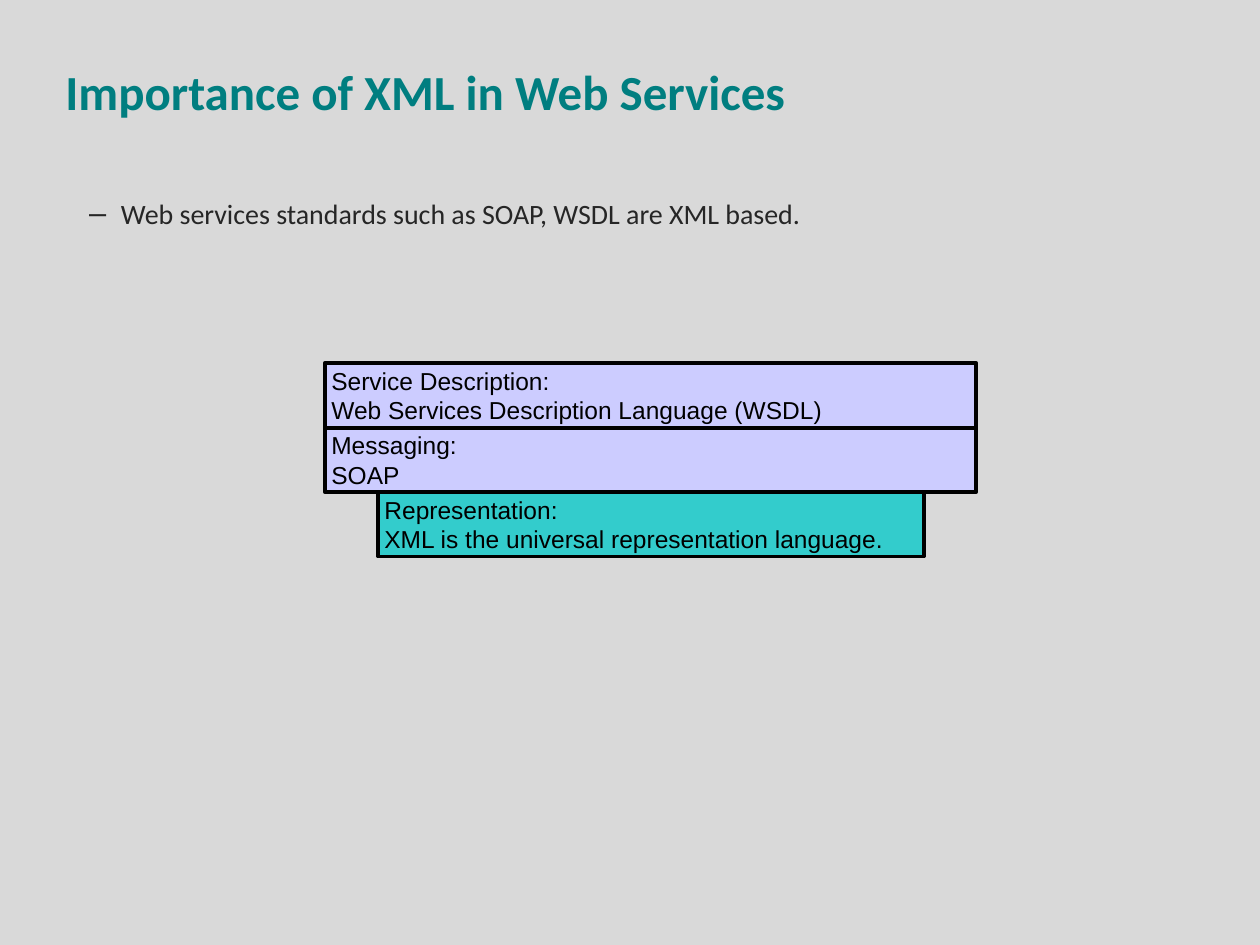
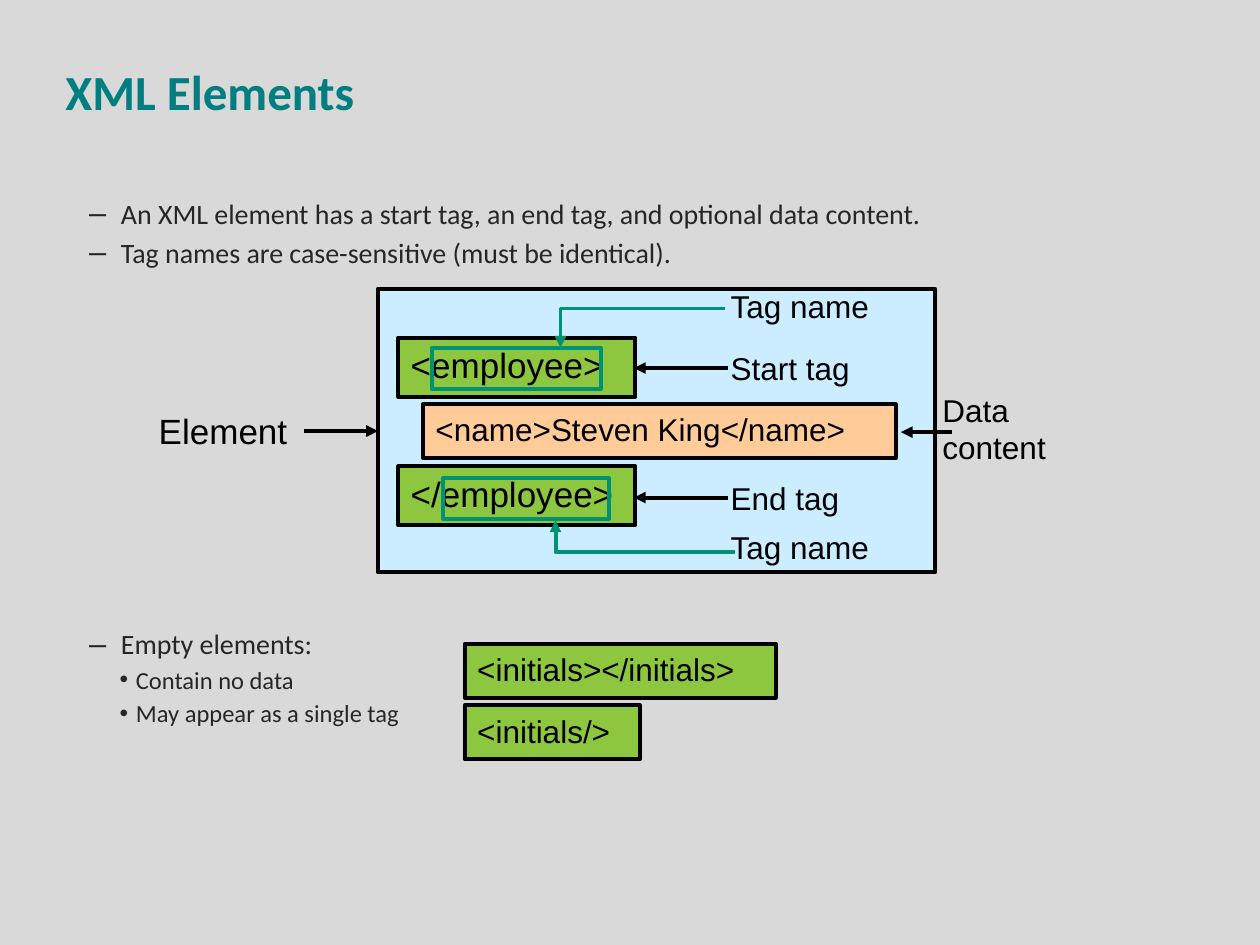
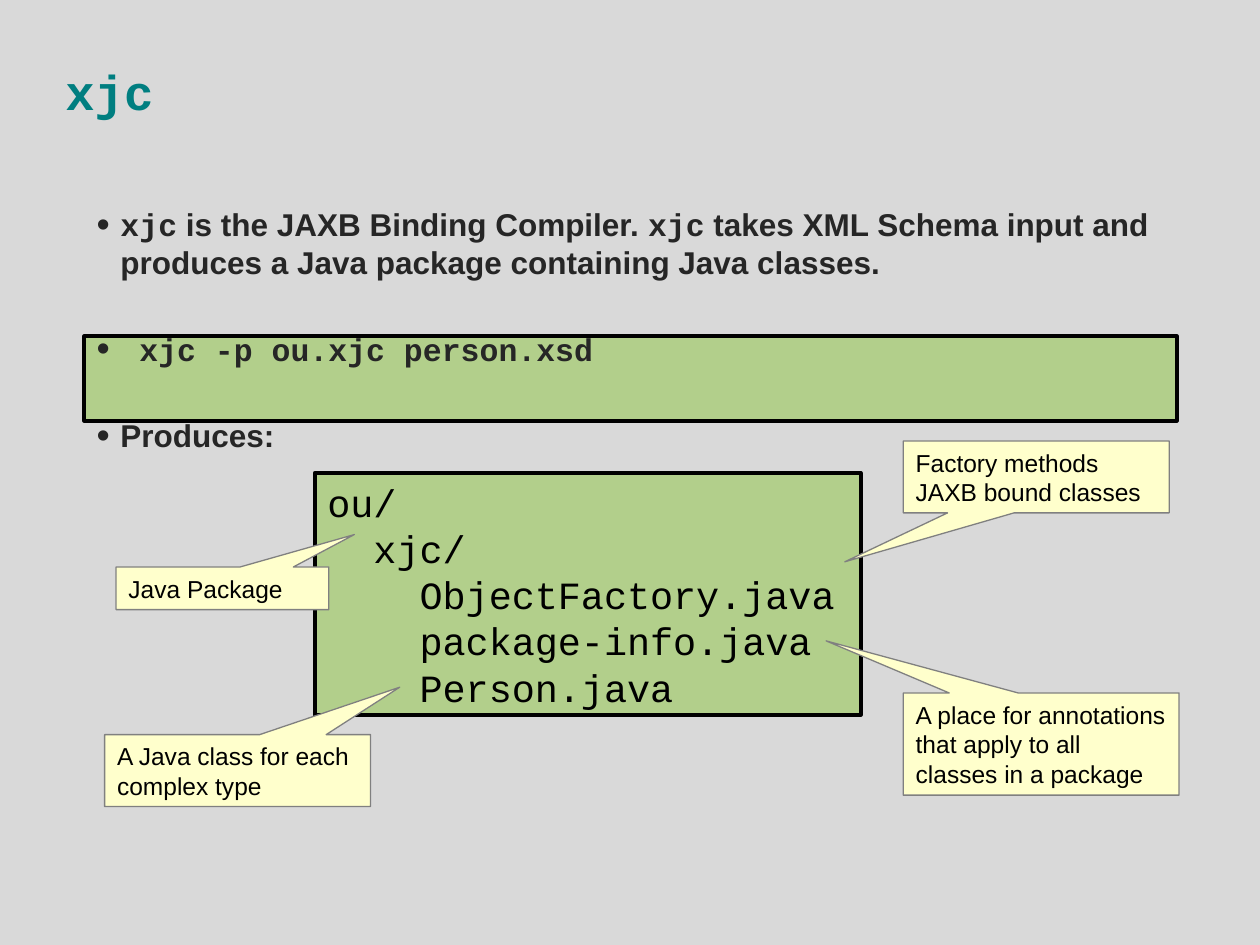
"""Builds three slides on XML elements, web services and xjc."""
from typing import NamedTuple

from lxml.etree import SubElement
from pptx import Presentation
from pptx.dml.color import RGBColor
from pptx.enum.shapes import MSO_CONNECTOR, MSO_SHAPE
from pptx.enum.text import MSO_ANCHOR, PP_ALIGN
from pptx.oxml.ns import qn
from pptx.util import Cm, Pt

GREY = RGBColor(0xD9, 0xD9, 0xD9)
TEAL = RGBColor(0x00, 0x7E, 0x80)
DARK = RGBColor(0x26, 0x26, 0x26)
BLACK = RGBColor(0x00, 0x00, 0x00)
LILAC = RGBColor(0xCC, 0xCC, 0xFF)
AQUA = RGBColor(0x33, 0xCC, 0xCC)
LIME = RGBColor(0x8D, 0xC6, 0x3F)
SKY = RGBColor(0xCC, 0xEC, 0xFF)
PEACH = RGBColor(0xFF, 0xCC, 0x99)
JADE = RGBColor(0x00, 0x92, 0x73)
CREAM = RGBColor(0xFF, 0xFF, 0xCC)
EDGE = RGBColor(0x80, 0x80, 0x80)

SANS, HEAD, MONO = "Arial", "Calibri", "Courier New"


class Area(NamedTuple):
    """A place on the slide, in centimetres."""
    left: float
    top: float
    width: float
    height: float

    def cm(self):
        """Gives the four lengths for python-pptx."""
        return tuple(Cm(n) for n in self)


class Style(NamedTuple):
    """The look of a run of text."""
    size: float
    font: str = SANS
    color: RGBColor = BLACK
    bold: bool = False


class Mark(NamedTuple):
    """A bullet with its indents in centimetres and its size in percent."""
    char: str
    left: float
    hang: float
    size: int


class Item(NamedTuple):
    """A bulleted paragraph made of styled bits."""
    mark: Mark
    bits: list
    space: float = 0


class Box(NamedTuple):
    """A filled, outlined rectangle with text."""
    area: Area
    fill: RGBColor
    text: str = ""
    size: float = 18


class Label(NamedTuple):
    """A plain piece of text."""
    area: Area
    text: str
    size: float = 18


class Arrow(NamedTuple):
    """A level arrow at a given height."""
    start: float
    end: float
    y: float


class Note(NamedTuple):
    """A callout whose tip is given relative to its size."""
    area: Area
    tip: tuple
    text: str


TITLE = Area(1.07, 0.66, 23.06, 2.34)
BODY = Area(1.07, 3.84, 23.06, 12.34)
DASH = Mark("–", 1.12, 0.64, 110)
DOT = Mark("•", 1.42, 0.33, 100)
DISC = Mark("•", 0.48, 0.48, 120)
MAIN = Style(16, HEAD, DARK)
MINOR = Style(14, HEAD, DARK)
BOLD = Style(18, SANS, DARK, True)
CODE = Style(18, MONO, DARK, True)


def paint(run, style: Style) -> None:
    """Formats one run."""
    font = run.font
    font.name, font.size, font.bold = style.font, Pt(style.size), style.bold
    font.color.rgb = style.color


def write(frame, text: str, style: Style, anchor=MSO_ANCHOR.TOP) -> None:
    """Fills a frame with left-aligned text in one style."""
    frame.word_wrap = True
    frame.vertical_anchor = anchor
    frame.text = text
    for para in frame.paragraphs:
        para.alignment = PP_ALIGN.LEFT
        for run in para.runs:
            paint(run, style)


def add_text(slide, area: Area, text: str, style: Style, anchor=MSO_ANCHOR.TOP):
    """Adds a text box and returns its frame."""
    frame = slide.shapes.add_textbox(*area.cm()).text_frame
    write(frame, text, style, anchor)
    return frame


def add_list(slide, area: Area, items: list) -> None:
    """Adds a bulleted list."""
    frame = slide.shapes.add_textbox(*area.cm()).text_frame
    frame.word_wrap = True
    for n, item in enumerate(items):
        para = frame.add_paragraph() if n else frame.paragraphs[0]
        para.space_before = Pt(item.space)
        for text, style in item.bits:
            run = para.add_run()
            run.text = text
            paint(run, style)
        mark = item.mark
        props = para._p.get_or_add_pPr()
        props.set("marL", str(Cm(mark.left)))
        props.set("indent", str(-Cm(mark.hang)))
        SubElement(props, qn("a:buSzPct")).set("val", str(mark.size * 1000))
        SubElement(props, qn("a:buFont")).set("typeface", SANS)
        SubElement(props, qn("a:buChar")).set("char", mark.char)


def add_form(slide, kind, area: Area, fill=None, color=BLACK, width=2.25):
    """Adds a flat preset shape."""
    form = slide.shapes.add_shape(kind, *area.cm())
    form.shadow.inherit = False
    if fill is None:
        form.fill.background()
    else:
        form.fill.solid()
        form.fill.fore_color.rgb = fill
    form.line.color.rgb = color
    form.line.width = Pt(width)
    return form


def add_box(slide, box: Box):
    """Adds a rectangle with its text."""
    form = add_form(slide, MSO_SHAPE.RECTANGLE, box.area, box.fill)
    if box.text:
        write(form.text_frame, box.text, Style(box.size))
    return form


def add_pane(slide, area: Area) -> None:
    """Adds a half clear lime rectangle."""
    form = add_box(slide, Box(area, LIME))
    color = form.element.spPr.find(qn("a:solidFill")).find(qn("a:srgbClr"))
    SubElement(color, qn("a:alpha")).set("val", "50000")


def add_tip(form, color: RGBColor) -> None:
    """Styles a line and puts an arrowhead at its end."""
    form.line.color.rgb = color
    form.line.width = Pt(2.25)
    line = form.element.spPr.find(qn("a:ln"))
    SubElement(line, qn("a:tailEnd")).set("type", "triangle")


def add_arrow(slide, arrow: Arrow) -> None:
    """Adds a level black arrow."""
    y = Cm(arrow.y)
    line = slide.shapes.add_connector(
        MSO_CONNECTOR.STRAIGHT, Cm(arrow.start), y, Cm(arrow.end), y)
    add_tip(line, BLACK)
    SubElement(line.element.spPr, qn("a:effectLst"))


def add_bend(slide, points: list) -> None:
    """Adds a bent jade arrow through the points."""
    first, *rest = [(Cm(x), Cm(y)) for x, y in points]
    pen = slide.shapes.build_freeform(*first)
    pen.add_line_segments(rest, close=False)
    form = pen.convert_to_shape()
    form.shadow.inherit = False
    form.fill.background()
    add_tip(form, JADE)


def add_note(slide, note: Note) -> None:
    """Adds a callout."""
    form = add_form(slide, MSO_SHAPE.RECTANGULAR_CALLOUT, note.area, CREAM, EDGE, 0.75)
    form.adjustments[0], form.adjustments[1] = note.tip
    write(form.text_frame, note.text, Style(14), MSO_ANCHOR.MIDDLE)


def add_slide(deck, title: str, font: str = HEAD):
    """Adds a grey slide with its title."""
    slide = deck.slides.add_slide(deck.slide_layouts[6])
    slide.background.fill.solid()
    slide.background.fill.fore_color.rgb = GREY
    add_text(slide, TITLE, title, Style(28, font, TEAL, True), MSO_ANCHOR.MIDDLE)
    return slide


def stack_slide(deck) -> None:
    """Draws the stack of web service layers."""
    slide = add_slide(deck, "Importance of XML in Web Services")
    add_list(slide, BODY, [
        Item(DASH, [("Web services standards such as SOAP, WSDL are XML based.", MAIN)])])
    layers = [
        (6.55, 13.13, LILAC, "Service Description:\nWeb Services Description Language (WSDL)"),
        (6.55, 13.13, LILAC, "Messaging:\nSOAP"),
        (7.62, 11, AQUA, "Representation:\nXML is the universal representation language."),
    ]
    for n, (left, width, fill, text) in enumerate(layers):
        form = add_box(slide, Box(Area(left, 7.32 + 1.3 * n, width, 1.3), fill, text, 14))
        frame = form.text_frame
        frame.vertical_anchor = MSO_ANCHOR.MIDDLE
        frame.margin_left = frame.margin_right = Cm(0.13)


def tag_slide(deck) -> None:
    """Draws the pieces of an XML element."""
    slide = add_slide(deck, "XML Elements")
    add_list(slide, BODY, [
        Item(DASH, [("An XML element has a start tag, an end tag, "
                     "and optional data content.", MAIN)]),
        Item(DASH, [("Tag names are case-sensitive (must be identical).", MAIN)], 2.9),
        Item(DASH, [("Empty elements:", MAIN)], 204.5),
        Item(DOT, [("Contain no data", MINOR)], 2.5),
        Item(DOT, [("May appear as a single tag", MINOR)], 2.5),
    ])
    for box in [
        Box(Area(9.37, 12.98, 6.27, 1.09), LIME, "<initials></initials>"),
        Box(Area(9.37, 14.22, 3.53, 1.09), LIME, "<initials/>"),
        Box(Area(7.62, 5.82, 11.23, 5.72), SKY),
        Box(Area(8.03, 6.81, 4.78, 1.19), LIME, "<employee>", 20),
        Box(Area(8.03, 9.4, 4.78, 1.19), LIME, "</employee>", 20),
        Box(Area(8.53, 8.15, 9.53, 1.09), PEACH, "<name>Steven King</name>"),
    ]:
        add_box(slide, box)
    for label in [
        Label(Area(14.48, 5.66, 4.01, 1.02), "Tag name"),
        Label(Area(14.48, 6.91, 3.1, 1.02), "Start tag"),
        Label(Area(14.48, 9.53, 3.1, 1.02), "End tag"),
        Label(Area(14.48, 10.52, 4.01, 1.02), "Tag name"),
        Label(Area(18.75, 7.75, 3.28, 1.78), "Data content"),
        Label(Area(2.95, 8.13, 3.25, 1.09), "Element", 20),
    ]:
        add_text(slide, label.area, label.text, Style(label.size))
    for arrow in [
        Arrow(14.68, 12.78, 7.42),
        Arrow(14.68, 12.78, 10.03),
        Arrow(19.2, 18.16, 8.71),
        Arrow(6.12, 7.62, 8.69),
    ]:
        add_arrow(slide, arrow)
    for area in [Area(8.71, 7.01, 3.4, 0.84), Area(8.94, 9.63, 3.33, 0.84)]:
        add_form(slide, MSO_SHAPE.RECTANGLE, area, color=JADE)
    add_bend(slide, [(14.61, 6.22), (11.3, 6.22), (11.3, 7.01)])
    add_bend(slide, [(14.81, 11.13), (11.2, 11.13), (11.2, 10.49)])


def xjc_slide(deck) -> None:
    """Draws the files that xjc makes."""
    slide = add_slide(deck, "xjc", MONO)
    add_pane(slide, Area(6.35, 9.53, 11, 4.88))
    add_pane(slide, Area(1.7, 6.78, 22.02, 1.7))
    add_list(slide, Area(1.7, 4.01, 22, 6.48), [
        Item(DISC, [
            ("xjc", CODE), (" is the JAXB Binding Compiler. ", BOLD), ("xjc", CODE),
            (" takes XML Schema input and produces a Java package "
             "containing Java classes.", BOLD)]),
        Item(DISC, [(" xjc -p ou.xjc person.xsd", CODE)], 28),
        Item(DISC, [("Produces:", BOLD)], 28),
    ])
    files = ["ou/", "xjc/", "ObjectFactory.java", "package-info.java", "Person.java"]
    frame = add_text(slide, Area(6.35, 9.53, 10.9, 5.08), "\n".join(files), Style(22, MONO))
    for n, para in enumerate(frame.paragraphs):
        para._p.get_or_add_pPr().set("marL", str(Cm(0.93 * min(n, 2))))
    for note in [
        Note(Area(2.34, 11.43, 4.29, 0.86), (0.62, -1.26), "Java Package"),
        Note(Area(18.21, 8.89, 5.36, 1.45), (-0.72, 1.18),
             "Factory methods JAXB bound classes"),
        Note(Area(18.21, 13.97, 5.56, 2.06), (-0.78, -1.01),
             "A place for annotations that apply to all classes in a package"),
        Note(Area(2.11, 14.81, 5.36, 1.45), (0.61, -1.16),
             "A Java class for each complex type"),
    ]:
        add_note(slide, note)


def main() -> None:
    """Builds and saves the deck."""
    deck = Presentation()
    deck.slide_width, deck.slide_height = Cm(25.4), Cm(19.05)
    for build in (stack_slide, tag_slide, xjc_slide):
        build(deck)
    deck.save("out.pptx")


if __name__ == "__main__":
    main()
